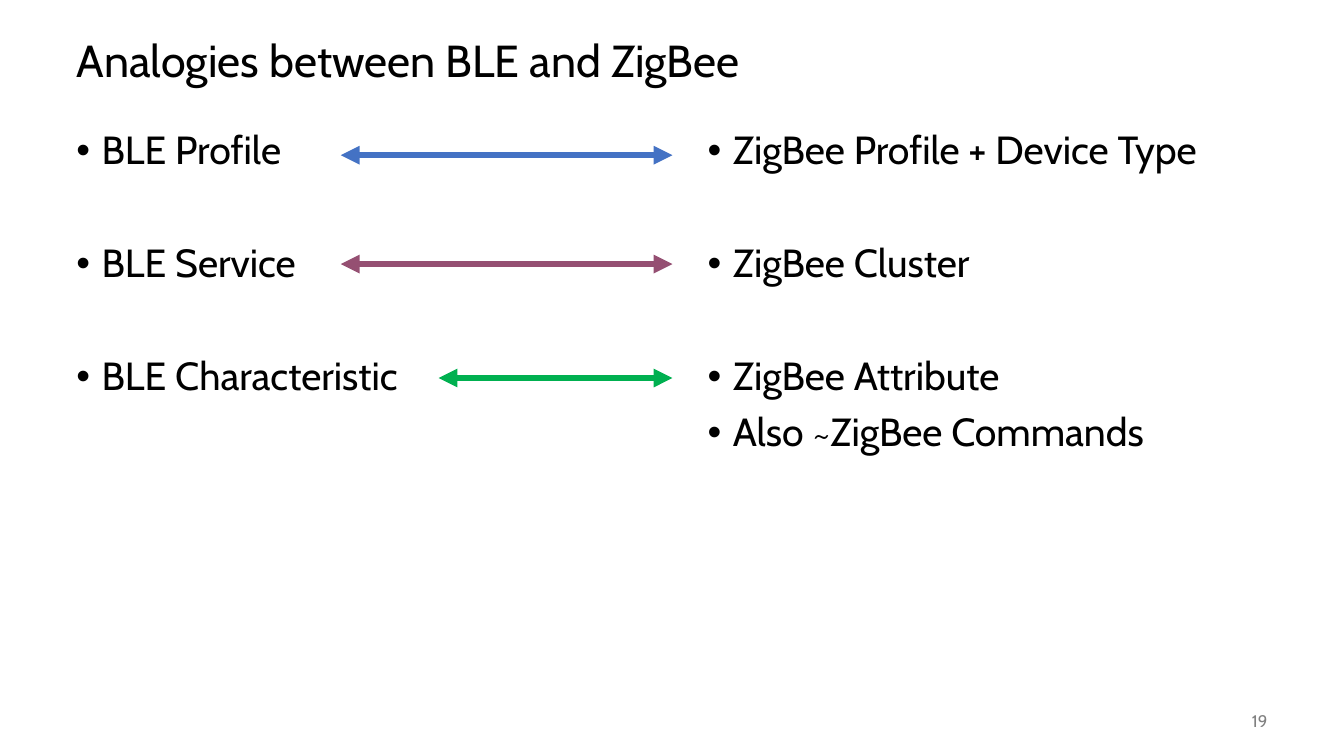
"""Build a slide that pairs BLE concepts with their ZigBee counterparts."""
from lxml.etree import SubElement
from pptx import Presentation
from pptx.dml.color import RGBColor
from pptx.enum.shapes import MSO_CONNECTOR
from pptx.enum.text import MSO_ANCHOR, MSO_AUTO_SIZE, PP_ALIGN
from pptx.oxml.ns import qn
from pptx.util import Inches, Pt


def color(hex_value):
    """Turn a hex string into a colour."""
    return RGBColor.from_string(hex_value)


class SlideBuilder:
    """Hold the style and the slide, and add each kind of element."""

    font_name = "Cabin"
    text_color = "000000"
    line_spacing = 0.9
    indent = Inches(0.25)

    def __init__(self, presentation):
        """Add a title-only slide to the presentation."""
        self.slide = presentation.slides.add_slide(presentation.slide_layouts[5])

    def set_frame(self, shape, box, anchor):
        """Place a text shape and set up its frame."""
        left, top, width, height = (Inches(value) for value in box)
        placement = {"left": left, "top": top, "width": width, "height": height}
        for name, value in placement.items():
            setattr(shape, name, value)
        frame_format = {"word_wrap": True, "auto_size": MSO_AUTO_SIZE.NONE,
                        "vertical_anchor": anchor}
        for name, value in frame_format.items():
            setattr(shape.text_frame, name, value)
        return shape.text_frame

    def add_text(self, paragraph, text, size, hex_value=text_color, **paragraph_format):
        """Add one run of text to a paragraph."""
        for name, value in paragraph_format.items():
            setattr(paragraph, name, value)
        run = paragraph.add_run()
        run.text = text
        for name, value in {"name": self.font_name, "size": Pt(size)}.items():
            setattr(run.font, name, value)
        run.font.color.rgb = color(hex_value)

    def add_title(self, text, box):
        """Fill the title placeholder."""
        frame = self.set_frame(self.slide.shapes.title, box, MSO_ANCHOR.MIDDLE)
        self.add_text(frame.paragraphs[0], text, 32, alignment=PP_ALIGN.LEFT,
                      line_spacing=self.line_spacing)

    def add_text_box(self, box, anchor):
        """Add an empty text box and return its frame."""
        shape = self.slide.shapes.add_textbox(0, 0, 0, 0)
        return self.set_frame(shape, box, anchor)

    def add_bullets(self, items, box):
        """Add a bulleted list of (text, points of space before) pairs."""
        frame = self.add_text_box(box, MSO_ANCHOR.TOP)
        for index, (text, space_before) in enumerate(items):
            paragraph = frame.add_paragraph() if index else frame.paragraphs[0]
            properties = paragraph._p.get_or_add_pPr()
            properties.set("marL", str(self.indent))
            properties.set("indent", str(-self.indent))
            SubElement(properties, qn("a:buFont"), typeface="Arial")
            SubElement(properties, qn("a:buChar"), char="•")
            self.add_text(paragraph, text, 28, line_spacing=self.line_spacing,
                          space_before=Pt(space_before))

    def add_page_number(self, text, box):
        """Add the page number."""
        frame = self.add_text_box(box, MSO_ANCHOR.MIDDLE)
        self.add_text(frame.paragraphs[0], text, 12, "808080", alignment=PP_ALIGN.RIGHT)

    def add_double_arrow(self, start, end, y, hex_value):
        """Add a horizontal arrow with a head at both ends."""
        connector = self.slide.shapes.add_connector(
            MSO_CONNECTOR.STRAIGHT, Inches(start), Inches(y), Inches(end), Inches(y))
        connector.line.width = Pt(4.5)
        connector.line.color.rgb = color(hex_value)
        line = connector.line._get_or_add_ln()
        for tag in ("a:headEnd", "a:tailEnd"):
            SubElement(line, qn(tag), type="triangle")
        SubElement(connector._element.spPr, qn("a:effectLst"))


def main():
    """Build and save the slide."""
    presentation = Presentation()
    presentation.slide_width = Inches(13.33)
    presentation.slide_height = Inches(7.5)
    builder = SlideBuilder(presentation)
    builder.add_title("Analogies between BLE and ZigBee", (0.66, 0.25, 12, 0.75))

    row_gap, near_gap = 50.4, 10
    columns = {
        0.66: [("BLE Profile", 0), ("BLE Service", row_gap),
               ("BLE Characteristic", row_gap)],
        6.92: [("ZigBee Profile + Device Type", 0), ("ZigBee Cluster", row_gap),
               ("ZigBee Attribute", row_gap), ("Also ~ZigBee Commands", near_gap)],
    }
    for left, items in columns.items():
        builder.add_bullets(items, (left, 1.25, 5.75, 5.5))
    builder.add_page_number("19", (11.67, 6.95, 1, 0.4))

    arrows = [(3.38, 1.54, "4472C4"), (3.38, 2.62, "954F72"), (4.35, 3.75, "00B050")]
    for start, y, hex_value in arrows:
        builder.add_double_arrow(start, 6.67, y, hex_value)
    presentation.save("out.pptx")


if __name__ == "__main__":
    main()
